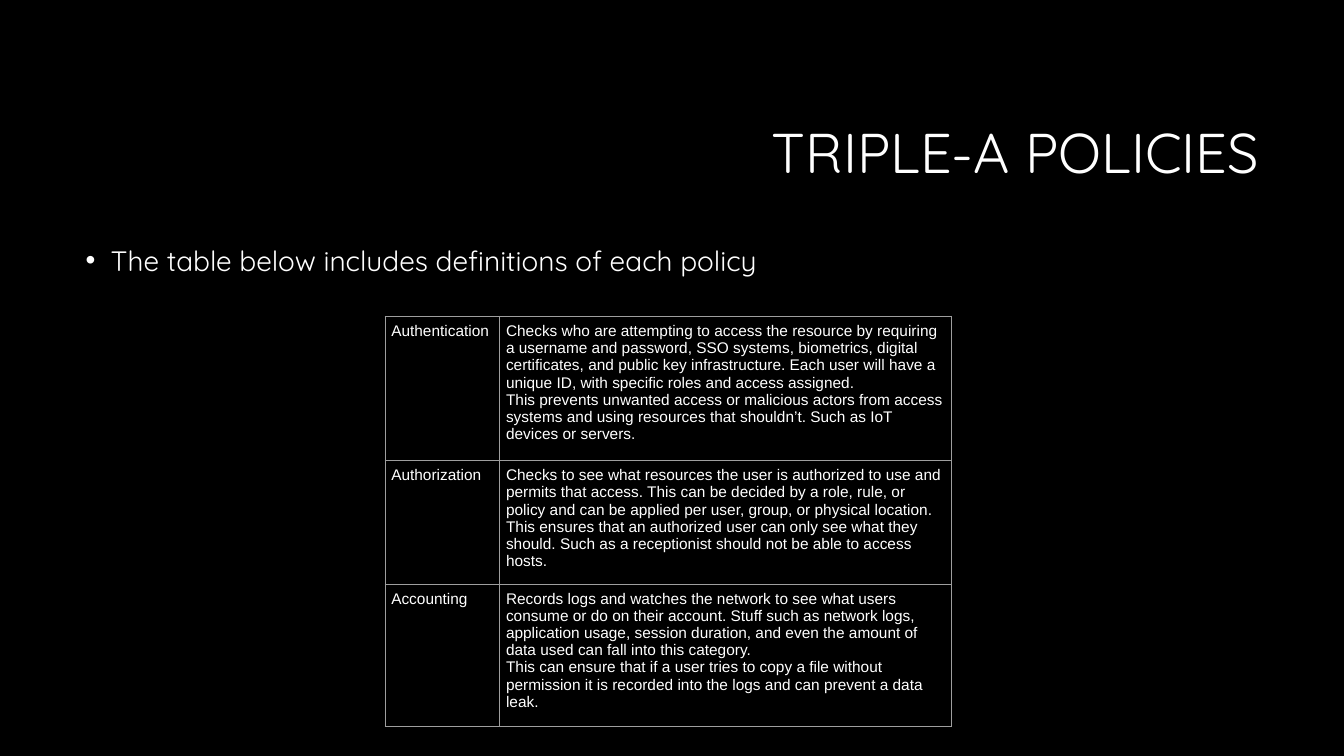
"""Build the slide that defines the three Triple-A policies."""
from dataclasses import dataclass

from lxml.etree import SubElement
from pptx import Presentation
from pptx.dml.color import RGBColor
from pptx.enum.text import MSO_ANCHOR, MSO_AUTO_SIZE, PP_ALIGN
from pptx.oxml import parse_xml
from pptx.oxml.ns import nsdecls, qn
from pptx.slide import Slide
from pptx.util import Pt


@dataclass(frozen=True)
class Theme:
    background: str = "000000"
    text: str = "FFFFFF"
    border: str = "9E9E9E"
    border_width: float = 0.75
    heading_font: str = "Quicksand"
    table_font: str = "Arial"
    title_size: float = 40
    body_size: float = 20
    table_size: float = 11


@dataclass(frozen=True)
class Box:
    left: float
    top: float
    width: float
    height: float


@dataclass(frozen=True)
class Policy:
    name: str
    definition: str
    purpose: str
    height: float


THEME = Theme()
TITLE_BOX = Box(228.24, 60.5, 678.24, 101.5)
BODY_BOX = Box(54, 172.8, 852, 44)
TABLE_BOX = Box(275, 226, 405, 281)
COLUMN_WIDTHS = (82, 323)
CELL_MARGIN = 4.5
POLICIES = (
    Policy(
        "Authentication",
        "Checks who are attempting to access the resource by requiring a username and password, "
        "SSO systems, biometrics, digital certificates, and public key infrastructure. "
        "Each user will have a unique ID, with specific roles and access assigned.",
        "This prevents unwanted access or malicious actors from access systems and using "
        "resources that shouldn’t. Such as IoT devices or servers.",
        103,
    ),
    Policy(
        "Authorization",
        "Checks to see what resources the user is authorized to use and permits that access. "
        "This can be decided by a role, rule, or policy and can be applied per user, group, "
        "or physical location.",
        "This ensures that an authorized user can only see what they should. "
        "Such as a receptionist should not be able to access hosts.",
        83,
    ),
    Policy(
        "Accounting",
        "Records logs and watches the network to see what users consume or do on their account. "
        "Stuff such as network logs, application usage, session duration, and even the amount "
        "of data used can fall into this category.",
        "This can ensure that if a user tries to copy a file without permission it is recorded "
        "into the logs and can prevent a data leak.",
        95,
    ),
)


def apply(target, formats: dict) -> None:
    """Set each named attribute on the target."""
    for name, value in formats.items():
        setattr(target, name, value)


def place(sp, box: Box) -> None:
    """Move a shape to a box given in points."""
    for name in ("left", "top", "width", "height"):
        setattr(sp, name, Pt(getattr(box, name)))


def write(tf, lines: tuple[str, ...], font: str, size: float, **paragraph) -> None:
    """Write one formatted paragraph per line."""
    for i, line in enumerate(lines):
        p = tf.paragraphs[0] if i == 0 else tf.add_paragraph()
        apply(p, paragraph)
        r = p.add_run()
        r.text = line
        apply(r.font, {"name": font, "size": Pt(size), "bold": False})
        r.font.color.rgb = RGBColor.from_string(THEME.text)


def add_title(slide: Slide, text: str) -> None:
    """Place and fill the title placeholder."""
    sp = slide.shapes.title
    place(sp, TITLE_BOX)
    tf = sp.text_frame
    apply(tf, {"word_wrap": True, "auto_size": MSO_AUTO_SIZE.NONE,
               "vertical_anchor": MSO_ANCHOR.MIDDLE})
    write(tf, (text,), THEME.heading_font, THEME.title_size,
          alignment=PP_ALIGN.RIGHT, line_spacing=0.9)


def add_bullet(slide: Slide, text: str) -> None:
    """Add the bulleted introduction."""
    sp = slide.shapes.add_textbox(0, 0, 0, 0)
    place(sp, BODY_BOX)
    tf = sp.text_frame
    tf.word_wrap = True
    write(tf, (text,), THEME.heading_font, THEME.body_size, line_spacing=0.9)
    pPr = tf.paragraphs[0]._p.get_or_add_pPr()
    pPr.set("marL", str(Pt(18)))
    pPr.set("indent", str(Pt(-18)))
    color = SubElement(pPr, qn("a:buClr"))
    SubElement(color, qn("a:srgbClr"), val=THEME.text)
    SubElement(pPr, qn("a:buFont"), typeface=THEME.table_font)
    SubElement(pPr, qn("a:buChar"), char="•")


def add_borders(cell) -> None:
    """Draw a thin line on all four sides of a cell."""
    tcPr = cell._tc.get_or_add_tcPr()
    for i, side in enumerate("LRTB"):
        tcPr.insert(i, parse_xml(
            f'<a:ln{side} {nsdecls("a")} w="{Pt(THEME.border_width)}"><a:solidFill>'
            f'<a:srgbClr val="{THEME.border}"/></a:solidFill></a:ln{side}>'))


def add_policy_table(slide: Slide, policies: tuple[Policy, ...]) -> None:
    """Add the table of policy names and definitions."""
    sp = slide.shapes.add_table(len(policies), len(COLUMN_WIDTHS), 0, 0, 0, 0)
    place(sp, TABLE_BOX)
    table = sp.table
    apply(table, {"first_row": False, "horz_banding": False})
    for column, width in zip(table.columns, COLUMN_WIDTHS):
        column.width = Pt(width)
    margins = {f"margin_{side}": Pt(CELL_MARGIN) for side in ("left", "right", "top", "bottom")}
    for row, policy in zip(table.rows, policies):
        row.height = Pt(policy.height)
        contents = ((policy.name,), (policy.definition, policy.purpose))
        for cell, lines in zip(row.cells, contents):
            apply(cell, margins)
            cell.fill.background()
            add_borders(cell)
            write(cell.text_frame, lines, THEME.table_font, THEME.table_size)


def main() -> None:
    """Build and save the presentation."""
    prs = Presentation()
    apply(prs, {"slide_width": Pt(960), "slide_height": Pt(540)})
    slide = prs.slides.add_slide(prs.slide_layouts[5])
    fill = slide.background.fill
    fill.solid()
    fill.fore_color.rgb = RGBColor.from_string(THEME.background)
    add_title(slide, "TRIPLE-A POLICIES")
    add_bullet(slide, "The table below includes definitions of each policy")
    add_policy_table(slide, POLICIES)
    prs.save("out.pptx")


if __name__ == "__main__":
    main()
